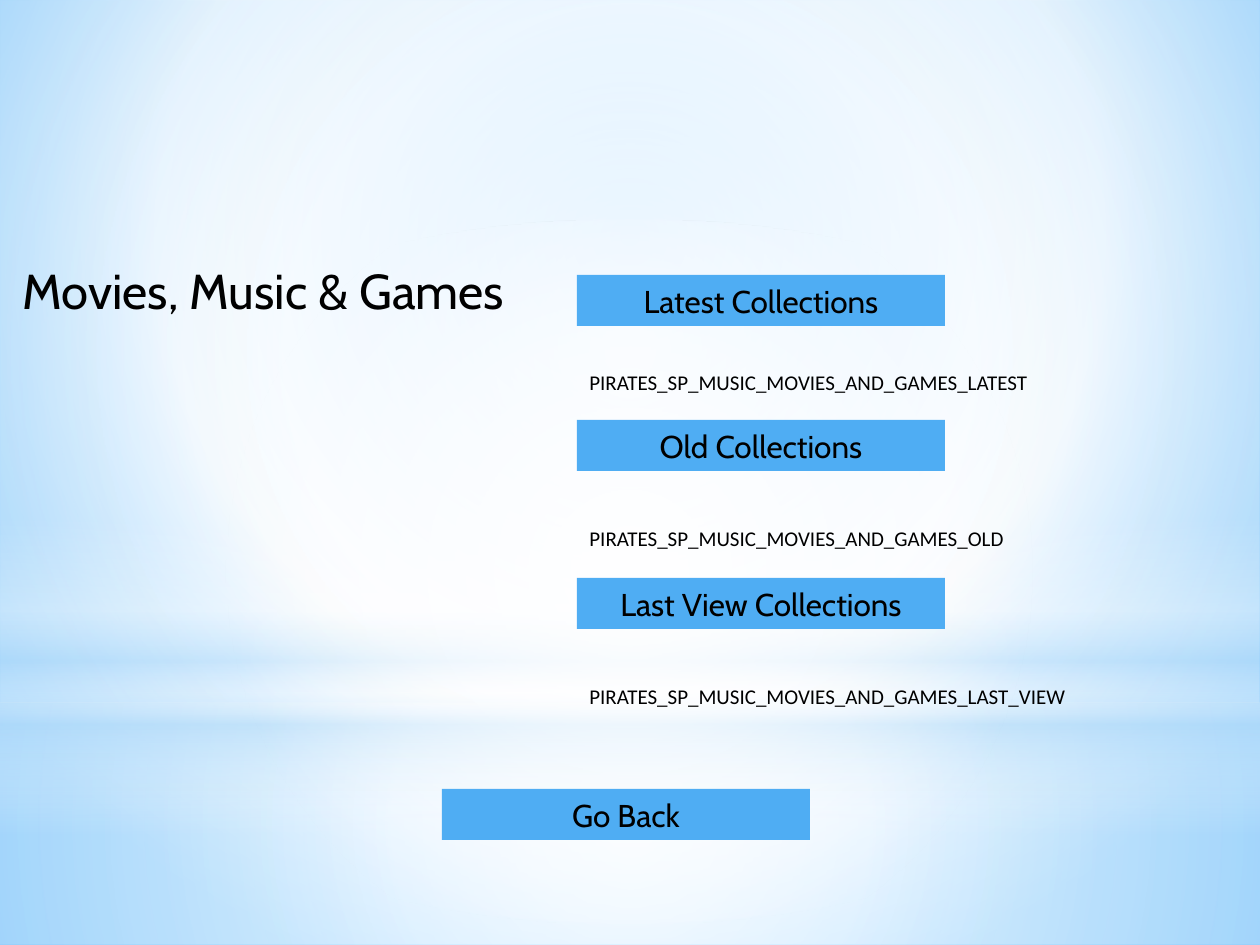
from dataclasses import dataclass

from lxml import etree
from pptx import Presentation
from pptx.dml.color import RGBColor
from pptx.enum.shapes import MSO_SHAPE
from pptx.enum.text import MSO_ANCHOR, MSO_AUTO_SIZE, PP_ALIGN
from pptx.oxml.ns import qn
from pptx.util import Pt

RECTANGLE, OVAL = MSO_SHAPE.RECTANGLE, MSO_SHAPE.OVAL
LEFT, CENTER = PP_ALIGN.LEFT, PP_ALIGN.CENTER
TOP, MIDDLE = MSO_ANCHOR.TOP, MSO_ANCHOR.MIDDLE
FIT_TEXT = MSO_AUTO_SIZE.SHAPE_TO_FIT_TEXT
EMU_PER_PIXEL = 914400 / 126
PAGE_WIDTH, PAGE_HEIGHT = 1260, 945
HORIZON = 703
TITLE_ONLY = 5


@dataclass(frozen=True)
class Theme:
    """Colours, fonts and type sizes of the menu slide."""
    ink: str = "000000"
    button: str = "4FADF3"
    white: str = "FFFFFF"
    haze: str = "B4DCFA"
    sky: str = "9ED5FF"
    deep_sky: str = "5BB9FF"
    display_font: str = "Cabin"
    code_font: str = "Calibri"
    title_size: int = 28
    button_size: int = 18
    code_size: int = 12


def px(length):
    """Turn picture pixels into EMU."""
    return round(length * EMU_PER_PIXEL)


def gradient(stops, focus=None):
    """Build a gradient of (position, colour, opacity); vertical without focus."""
    fill = etree.Element(qn("a:gradFill"), rotWithShape="1")
    stop_list = etree.SubElement(fill, qn("a:gsLst"))
    for position, colour, opacity in stops:
        stop = etree.SubElement(stop_list, qn("a:gs"), pos=str(position * 1000))
        tint = etree.SubElement(stop, qn("a:srgbClr"), val=colour)
        if opacity < 100:
            etree.SubElement(tint, qn("a:alpha"), val=str(opacity * 1000))
    if focus:
        shade = etree.SubElement(fill, qn("a:path"), {"path": "circle"})
        edges = {side: str(inset * 1000) for side, inset in zip("ltrb", focus)}
        etree.SubElement(shade, qn("a:fillToRect"), edges)
    else:
        etree.SubElement(fill, qn("a:lin"), ang="5400000", scaled="0")
    return fill


class MenuSlide:
    """Holds the theme and the slide, and draws each kind of element."""

    def __init__(self, slide, theme):
        """Keep the slide and its theme."""
        self.slide, self.theme = slide, theme

    def background(self, stops, focus):
        """Fill the slide background with a gradient."""
        self.slide.background.fill.background()
        properties = self.slide.element.find(".//" + qn("p:bgPr"))
        properties.replace(properties.find(qn("a:noFill")), gradient(stops, focus))

    def block(self, kind, box):
        """Add a shape without outline or shadow."""
        shape = self.slide.shapes.add_shape(kind, *map(px, box))
        shape.shadow.inherit = False
        shape.line.fill.background()
        return shape

    def glow(self, kind, top, height, stops, focus=None):
        """Add a full-width band of light."""
        light = self.block(kind, (0, top, PAGE_WIDTH, height))
        light.fill.background()
        properties = light.element.spPr
        properties.replace(properties.find(qn("a:noFill")), gradient(stops, focus))

    def set_text(self, shape, wording, font, size, align=LEFT, anchor=TOP, wrap=False):
        """Put one formatted paragraph into a shape."""
        frame = shape.text_frame
        frame.text = wording
        frame.word_wrap, frame.auto_size = wrap, FIT_TEXT
        frame.vertical_anchor = anchor
        paragraph = frame.paragraphs[0]
        paragraph.alignment = align
        paragraph.font.name, paragraph.font.size = font, Pt(size)
        paragraph.font.color.rgb = RGBColor.from_string(self.theme.ink)

    def title(self, wording, box):
        """Place the title placeholder in front of the backdrop."""
        heading = self.slide.shapes.title
        heading.left, heading.top, heading.width, heading.height = map(px, box)
        self.set_text(heading, wording, self.theme.display_font, self.theme.title_size)
        heading.element.getparent().append(heading.element)

    def button(self, wording, left, top):
        """Add a menu button."""
        button = self.block(RECTANGLE, (left, top, 368, 51))
        button.fill.solid()
        button.fill.fore_color.rgb = RGBColor.from_string(self.theme.button)
        self.set_text(button, wording, self.theme.display_font,
                      self.theme.button_size, CENTER, MIDDLE, True)

    def code(self, wording, left, top, width):
        """Add the code name that belongs to a button."""
        label = self.slide.shapes.add_textbox(*map(px, (left, top, width, 38)))
        self.set_text(label, wording, self.theme.code_font, self.theme.code_size)


def draw_backdrop(menu):
    """Draw the sky, the horizon and the central glow."""
    theme = menu.theme
    white, haze = theme.white, theme.haze
    middle = (50, 50, 50, 50)
    menu.background([(0, theme.sky, 100), (60, white, 100),
                     (100, theme.deep_sky, 100)], (20, 10, 20, 60))
    menu.glow(RECTANGLE, HORIZON, PAGE_HEIGHT - HORIZON,
              [(0, white, 91), (37, white, 76), (100, haze, 79)], middle)
    menu.glow(RECTANGLE, 0, HORIZON,
              [(0, white, 89), (48, white, 62), (100, haze, 79)], middle)
    menu.glow(RECTANGLE, 519, 315,
              [(0, white, 0), (29, white, 30), (45, haze, 40),
               (55, white, 26), (65, haze, 60), (100, white, 0)])
    menu.glow(OVAL, 220, HORIZON, [(0, white, 100), (56, white, 0)], middle)


def main():
    """Build and save the menu slide."""
    deck = Presentation()
    deck.slide_width, deck.slide_height = px(PAGE_WIDTH), px(PAGE_HEIGHT)
    menu = MenuSlide(deck.slides.add_slide(deck.slide_layouts[TITLE_ONLY]), Theme())
    draw_backdrop(menu)
    menu.title("Movies, Music & Games", (10, 254, 538, 72))
    column = 577
    collections = [("Latest", 275, "LATEST", 363, 469),
                   ("Old", 420, "OLD", 519, 445),
                   ("Last View", 578, "LAST_VIEW", 677, 507)]
    for name, button_top, suffix, code_top, code_width in collections:
        menu.button(f"{name} Collections", column, button_top)
        menu.code(f"PIRATES_SP_MUSIC_MOVIES_AND_GAMES_{suffix}",
                  column, code_top, code_width)
    menu.button("Go Back", 442, 789)
    deck.save("out.pptx")


main()
